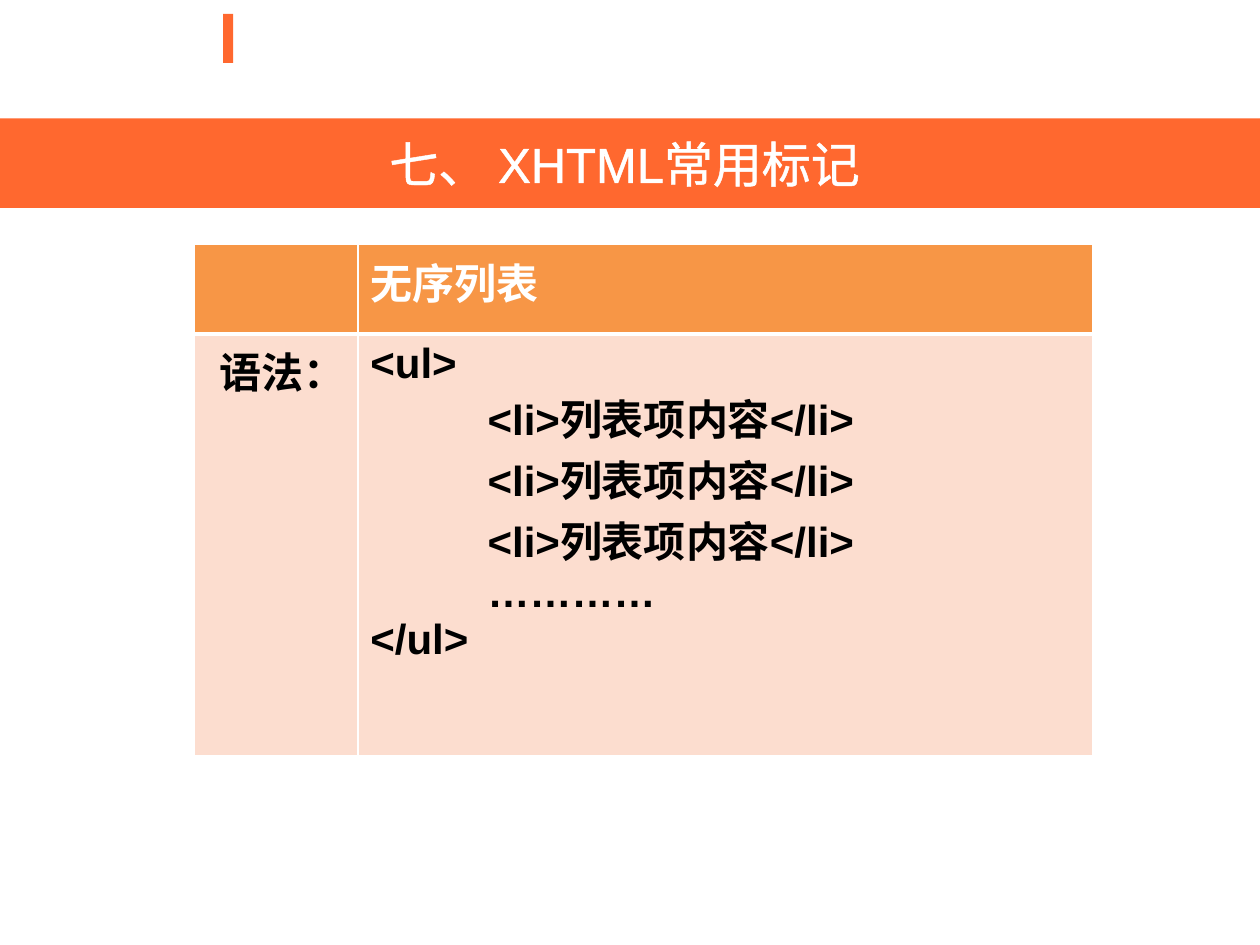
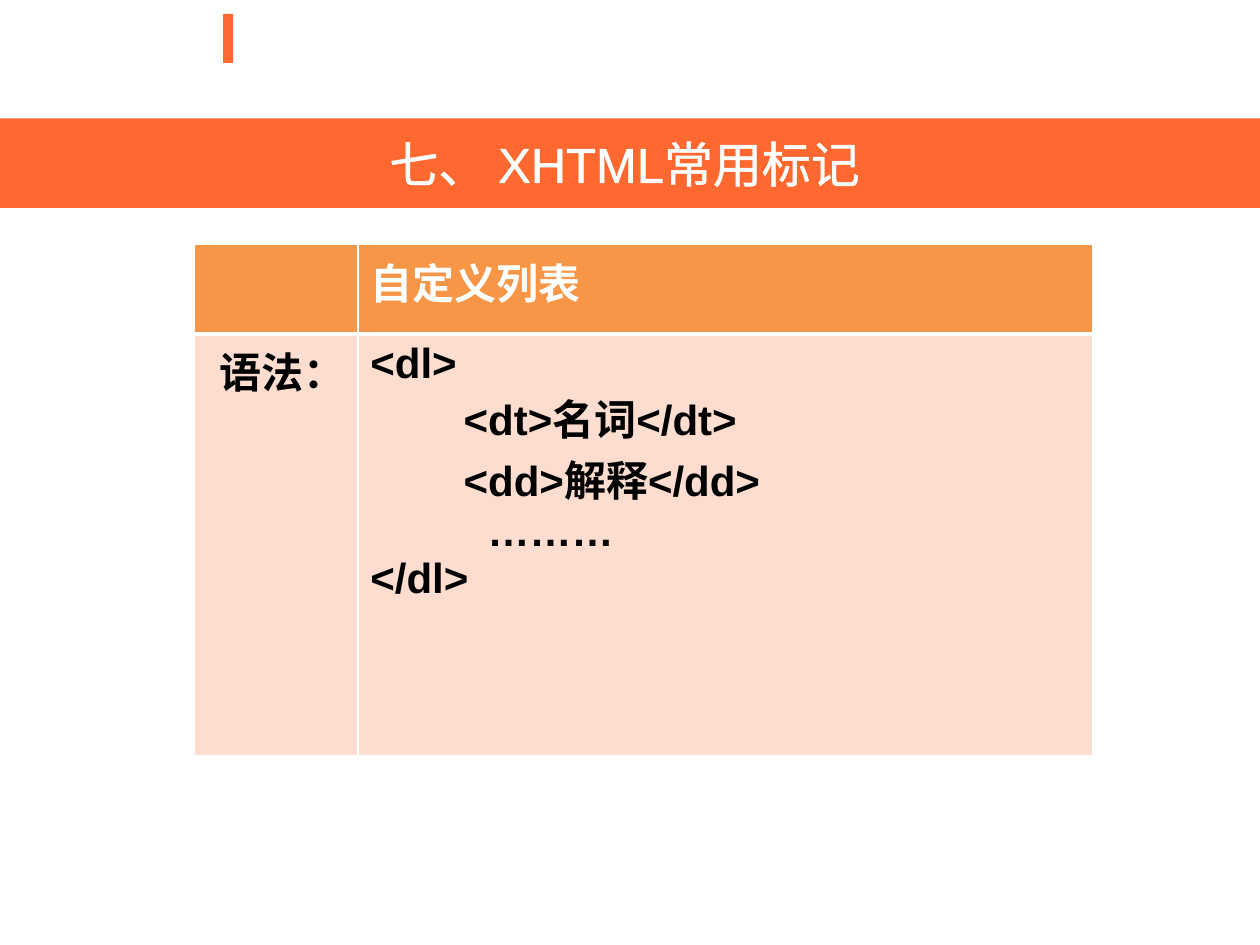
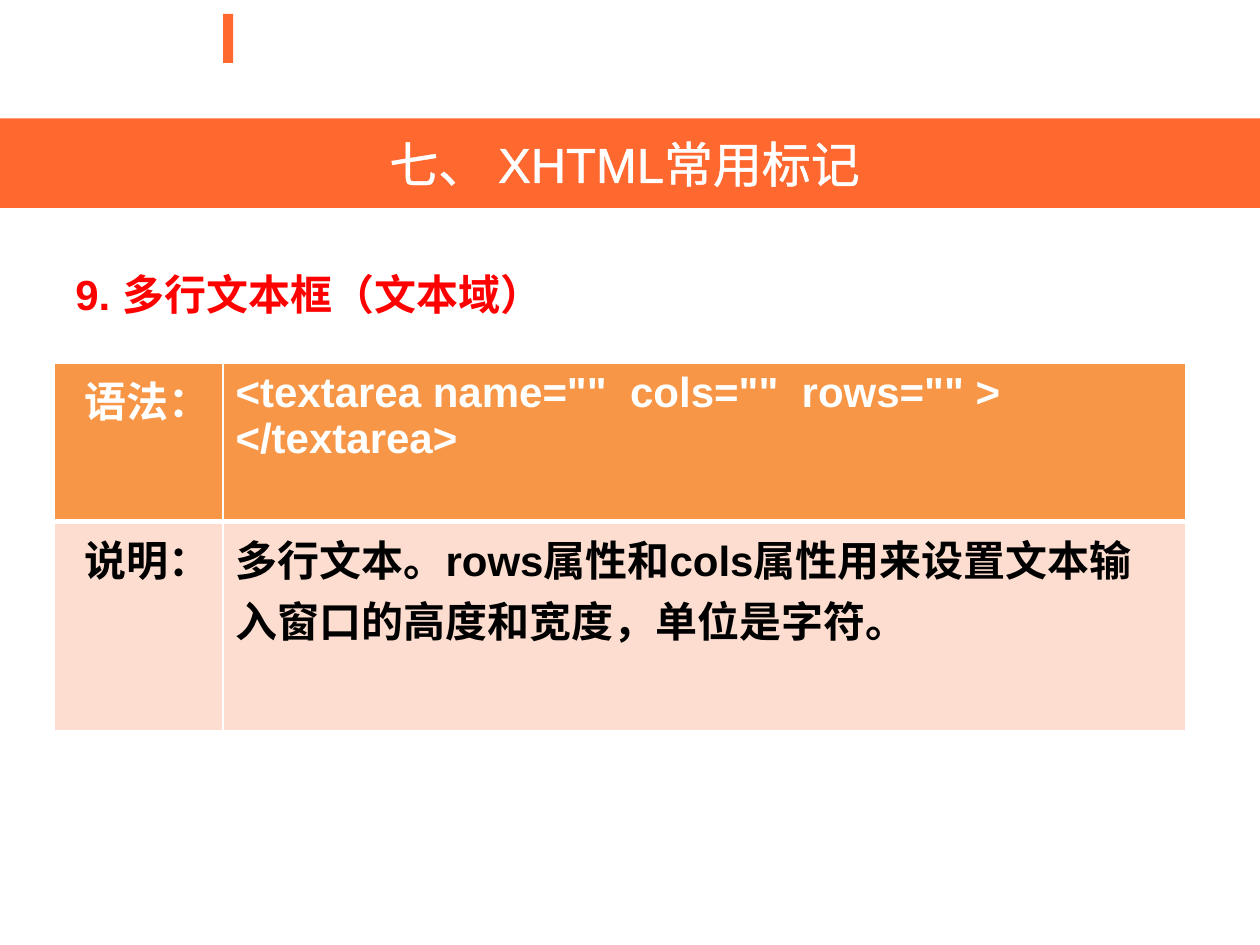
from dataclasses import dataclass

from lxml.etree import SubElement
from pptx import Presentation
from pptx.dml.color import RGBColor
from pptx.enum.shapes import MSO_SHAPE
from pptx.enum.text import MSO_ANCHOR, PP_ALIGN
from pptx.oxml.ns import qn
from pptx.util import Inches, Pt


@dataclass(frozen=True)
class Theme:
    band: str = "FF682F"
    header: str = "F79646"
    body: str = "FCDDCF"
    light: str = "FFFFFF"
    dark: str = "000000"
    heading: str = "FF0000"
    font: str = "Arial"
    title_size: int = 28
    text_size: int = 24
    title_outline: float = 1.45
    thin: int = 1
    thick: int = 3


THEME = Theme()

TITLE = "七、 XHTML常用标记 "
LIST_GRID = {"at": (1.54, 1.94), "columns": (1.3, 5.83), "rows": (0.71, 3.35)}
FORM_GRID = {"at": (0.43, 2.88), "columns": (1.34, 7.64), "rows": (1.26, 1.66)}

# Each row is a label and its lines; a line is (indent in inches, text).
SLIDES = [
    {"grid": LIST_GRID, "rows": [
        ("", [(0, "无序列表")]),
        ("语法：", [(0, "<ul>"),
                 *[(0.93, "<li>列表项内容</li>")] * 3,
                 (0.93, "…………"),
                 (0, "</ul>")]),
    ]},
    {"grid": LIST_GRID, "rows": [
        ("", [(0, "自定义列表")]),
        ("语法：", [(0, "<dl>"),
                 (0.74, "<dt>名词</dt>"),
                 (0.74, "<dd>解释</dd>"),
                 (0.93, "………"),
                 (0, "</dl>")]),
    ]},
    {"heading": "9. 多行文本框（文本域）", "grid": FORM_GRID, "rows": [
        ("语法：", [(0, '<textarea name=""  cols=""  rows="" >'),
                 (0, "</textarea>")]),
        ("说明：", [(0, "多行文本。rows属性和cols属性用来设置文本"
                     "输入窗口的高度和宽度，单位是字符。")]),
    ]},
]


def style(paragraph, color, size=THEME.text_size, bold=True):
    font = paragraph.font
    font.name, font.size, font.bold = THEME.font, Pt(size), bold
    font.color.rgb = RGBColor.from_string(color)


def add_line(parent, tag, width):
    """Append a solid light line, as text outline or cell border."""
    line = SubElement(parent, qn(tag), w=str(Pt(width)))
    fill = SubElement(line, qn("a:solidFill"))
    SubElement(fill, qn("a:srgbClr"), val=THEME.light)
    return line


def add_bar(slide, left, top, width, height):
    bar = slide.shapes.add_shape(MSO_SHAPE.RECTANGLE, Inches(left), Inches(top),
                                 Inches(width), Inches(height))
    bar.shadow.inherit = False
    bar.fill.solid()
    bar.fill.fore_color.rgb = RGBColor.from_string(THEME.band)
    bar.line.fill.background()
    return bar


def add_title(slide):
    add_bar(slide, 1.77, 0.11, 0.08, 0.39)
    frame = add_bar(slide, 0, 0.94, 10, 0.71).text_frame
    frame.vertical_anchor = MSO_ANCHOR.MIDDLE
    title = frame.paragraphs[0]
    title.text = TITLE
    title.alignment = PP_ALIGN.CENTER
    style(title, THEME.light, THEME.title_size, bold=False)
    properties = title._p.pPr.find(qn("a:defRPr"))
    properties.insert(0, add_line(properties, "a:ln", THEME.title_outline))


def add_heading(slide, text):
    box = slide.shapes.add_textbox(Inches(0.5), Inches(2.08), Inches(9), Inches(4.95))
    box.text_frame.word_wrap = True
    heading = box.text_frame.paragraphs[0]
    heading.text = text
    style(heading, THEME.heading)


def fill_cell(cell, lines, is_header, alignment):
    properties = cell._tc.get_or_add_tcPr()
    top, bottom = (THEME.thin, THEME.thick) if is_header else (THEME.thick, THEME.thin)
    for side, width in zip("LRTB", (THEME.thin, THEME.thin, top, bottom)):
        add_line(properties, f"a:ln{side}", width)
    cell.fill.solid()
    cell.fill.fore_color.rgb = RGBColor.from_string(THEME.header if is_header else THEME.body)

    cell.text = "\n".join(text for _, text in lines)
    for paragraph, (indent, _) in zip(cell.text_frame.paragraphs, lines):
        paragraph.alignment = alignment
        style(paragraph, THEME.light if is_header else THEME.dark)
        if indent:
            paragraph._p.pPr.set("marL", str(Inches(indent)))


def add_syntax_table(slide, grid, rows):
    left, top = grid["at"]
    columns, heights = grid["columns"], grid["rows"]
    table = slide.shapes.add_table(len(heights), len(columns), Inches(left), Inches(top),
                                   Inches(sum(columns)), Inches(sum(heights))).table
    table.horz_banding = False
    for column, width in zip(table.columns, columns):
        column.width = Inches(width)
    for index, (height, (label, lines)) in enumerate(zip(heights, rows)):
        table.rows[index].height = Inches(height)
        fill_cell(table.cell(index, 0), [(0, label)], index == 0, PP_ALIGN.RIGHT)
        fill_cell(table.cell(index, 1), lines, index == 0, PP_ALIGN.LEFT)


def main():
    deck = Presentation()
    deck.slide_width, deck.slide_height = Inches(10), Inches(7.5)
    for content in SLIDES:
        slide = deck.slides.add_slide(deck.slide_layouts[6])
        add_title(slide)
        if "heading" in content:
            add_heading(slide, content["heading"])
        add_syntax_table(slide, content["grid"], content["rows"])
    deck.save("out.pptx")


if __name__ == "__main__":
    main()
